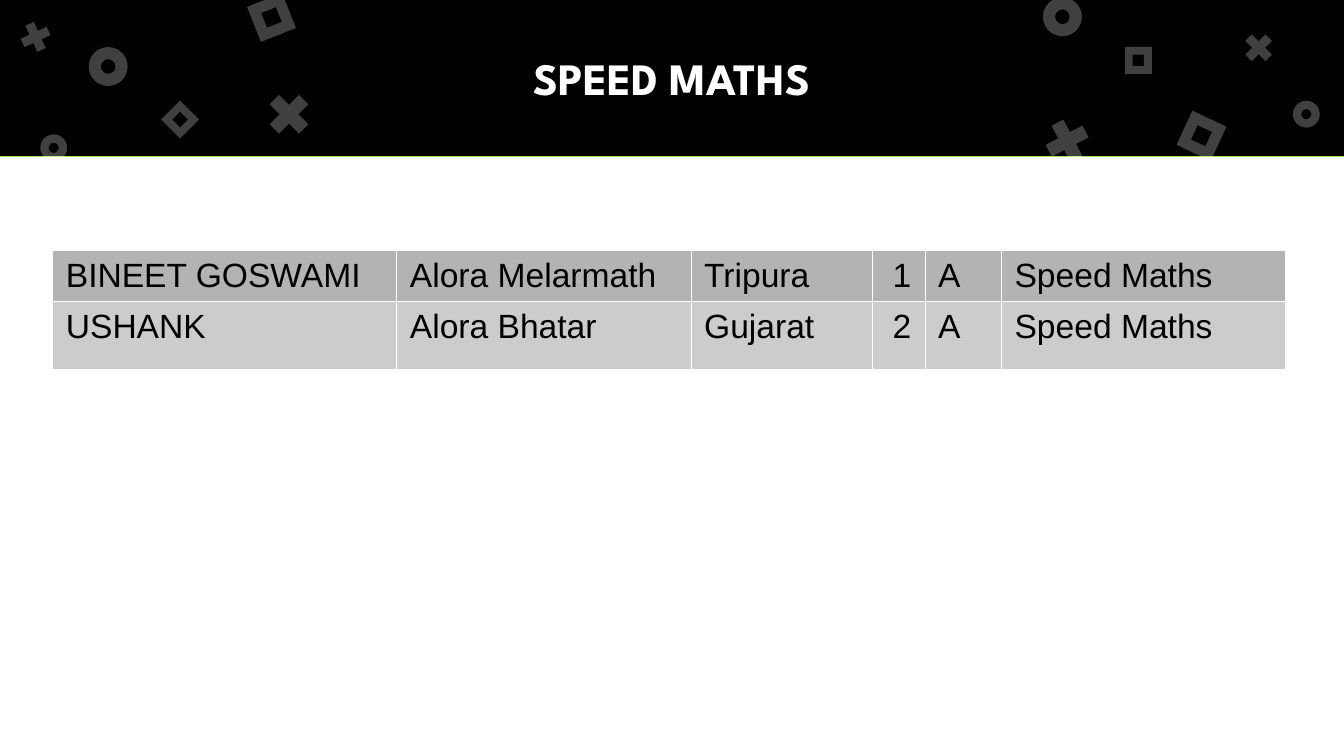
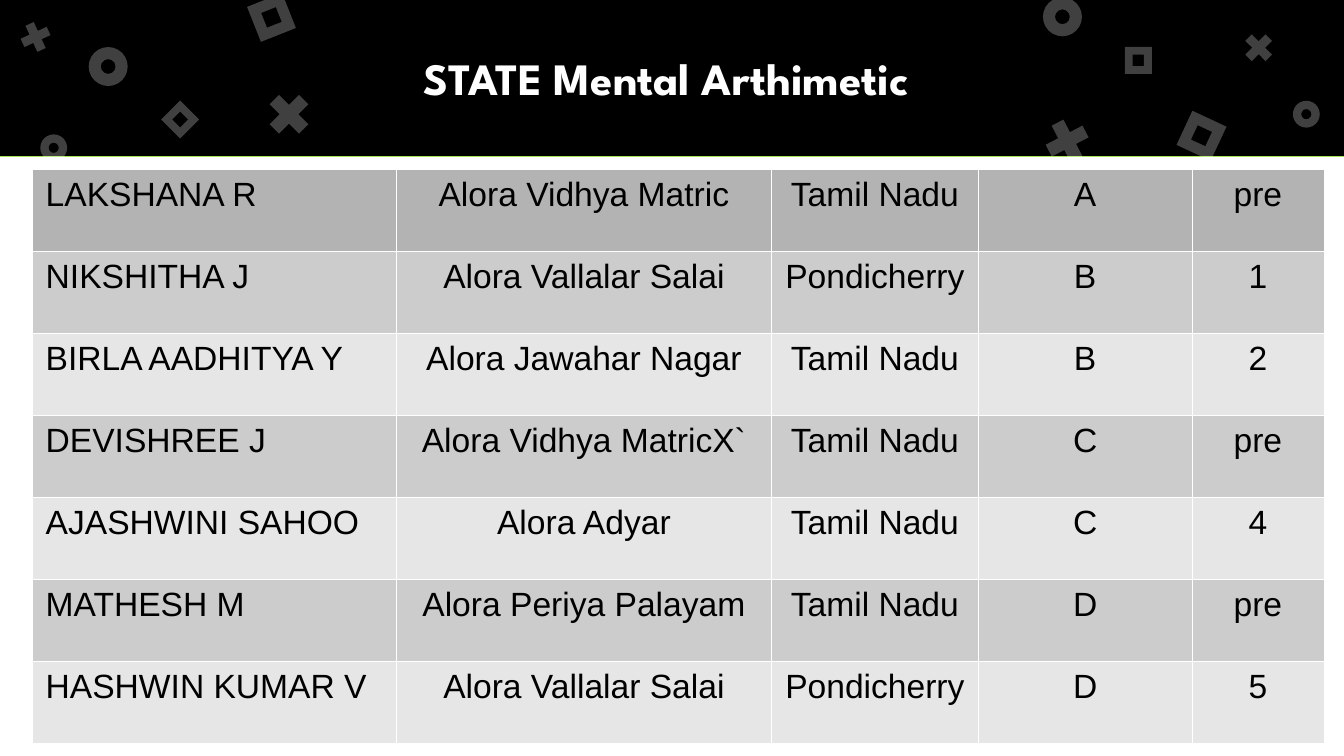
from lxml.etree import SubElement
from pptx import Presentation
from pptx.dml.color import RGBColor
from pptx.enum.shapes import MSO_SHAPE as Form
from pptx.enum.text import MSO_ANCHOR as Anchor, MSO_AUTO_SIZE as Fit, PP_ALIGN as Align
from pptx.oxml.ns import qn
from pptx.util import Inches, Pt

BLACK = RGBColor(0x00, 0x00, 0x00)
WHITE = RGBColor(0xFF, 0xFF, 0xFF)
GREEN = RGBColor(0x7B, 0xD1, 0x00)
HEAD = RGBColor(0xB3, 0xB3, 0xB3)
BANDS = (RGBColor(0xCC, 0xCC, 0xCC), RGBColor(0xE6, 0xE6, 0xE6))

WIDTH = 10
HEIGHT = WIDTH * 9 / 16
BAND, BODY = 1.16, 4.46
SIDES = {"l": Align.LEFT, "c": Align.CENTER, "r": Align.RIGHT}

RING = (Form.DONUT, 0.31)
CROSS = (Form.MATH_MULTIPLY, 0.235)
FRAME = (Form.FRAME, 0.289)
# kind, left, top, size, rotation
MARKS = [
    (RING, 0.66, 0.35, 0.29, 0),
    (CROSS, 1.94, 0.64, 0.42, 0),
    (FRAME, 1.88, -0.01, 0.28, 338.4),
    (RING, 7.76, -0.02, 0.29, 0),
    (CROSS, 7.73, 0.84, 0.42, 17.5),
    (FRAME, 8.8, 0.87, 0.28, 25),
    (RING, 0.3, 1, 0.2, 0),
    (CROSS, 0.12, 0.13, 0.29, 20.4),
    (FRAME, 1.24, 0.79, 0.2, 45),
    (RING, 9.62, 0.75, 0.2, 0),
    (CROSS, 9.22, 0.21, 0.29, 0),
    (FRAME, 8.37, 0.35, 0.2, 0),
]

SPEED = [
    ("BINEET GOSWAMI", "Alora Melarmath", "Tripura", "1", "A", "Speed Maths"),
    ("USHANK", "Alora Bhatar", "Gujarat", "2", "A", "Speed Maths"),
]
STATE = [
    ("LAKSHANA R", "Alora Vidhya Matric", "Tamil Nadu", "A", "pre"),
    ("NIKSHITHA J", "Alora Vallalar Salai", "Pondicherry", "B", "1"),
    ("BIRLA AADHITYA Y", "Alora Jawahar Nagar", "Tamil Nadu", "B", "2"),
    ("DEVISHREE J", "Alora Vidhya MatricX`", "Tamil Nadu", "C", "pre"),
    ("AJASHWINI SAHOO", "Alora Adyar", "Tamil Nadu", "C", "4"),
    ("MATHESH M", "Alora Periya Palayam", "Tamil Nadu", "D", "pre"),
    ("HASHWIN KUMAR V", "Alora Vallalar Salai", "Pondicherry", "D", "5"),
]


def write(frame, text, size=18, font="Arial", color=BLACK, bold=False, side="l"):
    para = frame.paragraphs[0]
    para.alignment = SIDES[side]
    run = para.add_run()
    run.text = text
    run.font.size = Pt(size)
    run.font.name = font
    run.font.bold = bold
    run.font.color.rgb = color


def edge(cell, color=WHITE, width=0.06):
    """Draw a thin line on all four sides of a cell."""
    props = cell._tc.get_or_add_tcPr()
    for side in ("a:lnL", "a:lnR", "a:lnT", "a:lnB"):
        line = SubElement(props, qn(side), w=str(Pt(width)))
        fill = SubElement(line, qn("a:solidFill"))
        SubElement(fill, qn("a:srgbClr"), val=str(color))


class Deck:
    def __init__(self):
        self.prs = Presentation()
        self.prs.slide_width = Inches(WIDTH)
        self.prs.slide_height = Inches(HEIGHT)
        self.layout = self.prs.slide_layouts[5]
        self.slide = None

    def dress(self):
        """Move the band and marks drawn on the first slide to the layout."""
        tree = self.layout.shapes.element
        for holder in list(self.layout.placeholders)[1:]:
            tree.remove(holder.element)
        fill = self.layout.background.fill
        fill.solid()
        fill.fore_color.rgb = GREEN
        shapes = [self.shape(Form.RECTANGLE, 0, 0, WIDTH, BAND, BLACK),
                  self.shape(Form.RECTANGLE, 0, HEIGHT - BODY, WIDTH, BODY, WHITE)]
        shapes += [self.mark(*mark) for mark in MARKS]
        for shape in shapes:
            tree.append(shape.element)

    def page(self, title):
        first = self.slide is None
        self.slide = self.prs.slides.add_slide(self.layout)
        if first:
            self.dress()
        self.title(title)

    def title(self, text):
        box = self.slide.shapes.title
        box.left, box.top = Inches(0.5), Inches(0)
        box.width, box.height = Inches(9), Inches(BAND)
        frame = box.text_frame
        frame.word_wrap = True
        frame.auto_size = Fit.NONE
        frame.vertical_anchor = Anchor.MIDDLE
        frame.margin_left = frame.margin_right = Inches(0.1)
        frame.margin_top = frame.margin_bottom = Inches(0.1)
        write(frame, text, size=24, font="League Spartan", color=WHITE,
              bold=True, side="c")

    def shape(self, form, left, top, width, height, color):
        shape = self.slide.shapes.add_shape(
            form, Inches(left), Inches(top), Inches(width), Inches(height))
        shape.shadow.inherit = False
        shape.fill.solid()
        shape.fill.fore_color.rgb = color
        shape.line.fill.background()
        return shape

    def mark(self, kind, left, top, size, turn):
        form, depth = kind
        shape = self.shape(form, left, top, size, size, WHITE)
        shape.adjustments[0] = depth
        shape.rotation = turn
        tint = shape.element.spPr.find(f"{qn('a:solidFill')}/{qn('a:srgbClr')}")
        SubElement(tint, qn("a:alpha"), val="25000")
        return shape

    def table(self, data, left, top, widths, heights, sides):
        table = self.slide.shapes.add_table(
            len(data), len(widths), Inches(left), Inches(top),
            Inches(sum(widths)), Inches(sum(heights))).table
        table.first_row = table.horz_banding = False
        for col, width in zip(table.columns, widths):
            col.width = Inches(width)
        for r, (row, height) in enumerate(zip(data, heights)):
            table.rows[r].height = Inches(height)
            for c, (text, side) in enumerate(zip(row, sides)):
                cell = table.cell(r, c)
                edge(cell)
                cell.fill.solid()
                cell.fill.fore_color.rgb = BANDS[(r - 1) % 2] if r else HEAD
                write(cell.text_frame, text, side=side)


def main():
    deck = Deck()
    deck.page("SPEED MATHS")
    deck.table(SPEED, 0.39, 1.86, (2.56, 2.19, 1.35, 0.39, 0.57, 2.11),
               (0.38, 0.51), "lllrll")
    deck.page("STATE Mental Arthimetic ")
    deck.table(STATE, 0.24, 1.26, (2.71, 2.79, 1.54, 1.59, 0.98),
               [0.61] * len(STATE), "lcccc")
    deck.prs.save("out.pptx")


if __name__ == "__main__":
    main()
